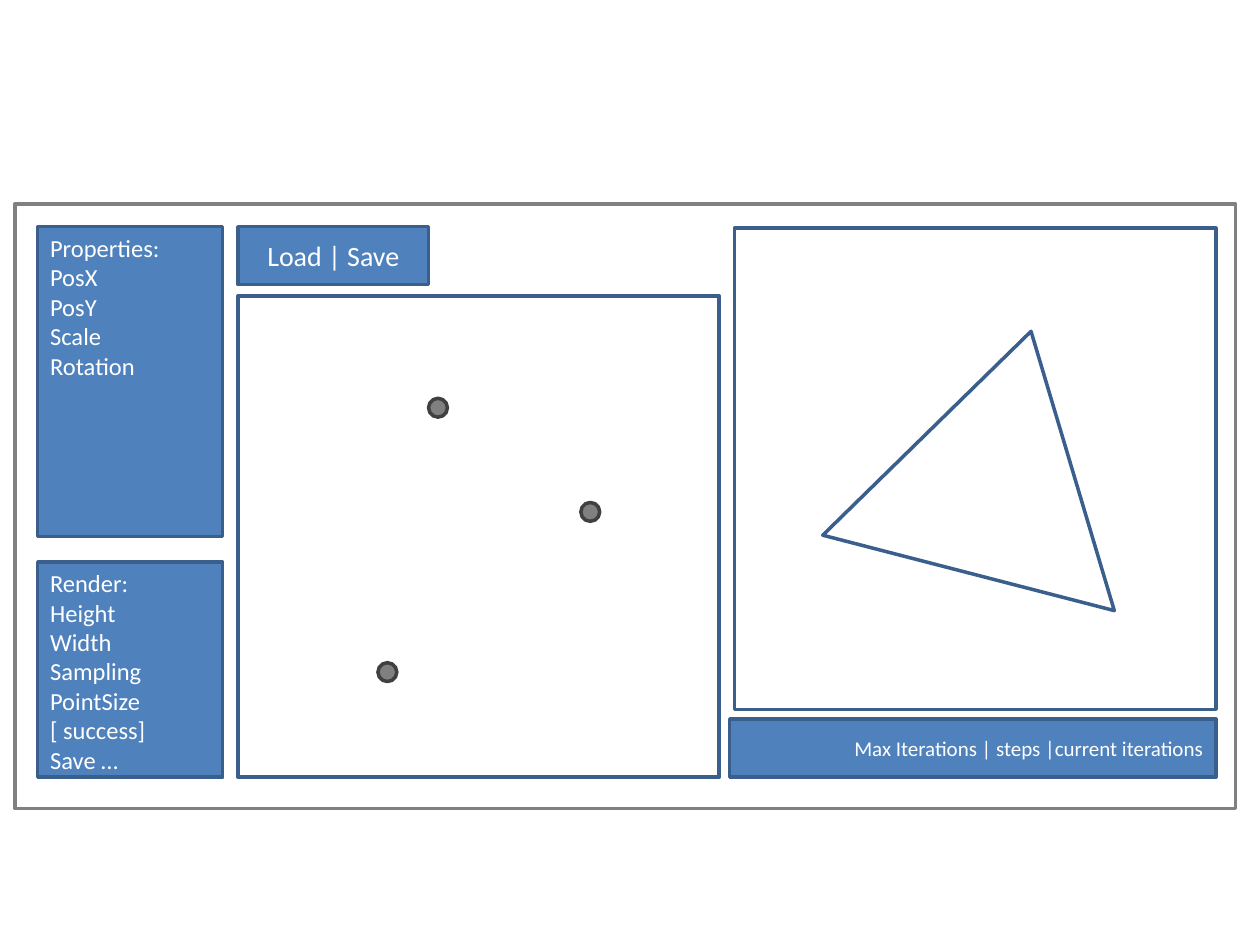
import pptx
import pptx.util
import pptx.dml.color
import pptx.enum.shapes
import pptx.enum.text

Cm = pptx.util.Cm
Kind = pptx.enum.shapes.MSO_SHAPE
Align = pptx.enum.text.PP_ALIGN
Anchor = pptx.enum.text.MSO_ANCHOR

COLORS = {
    "panel": "4F81BD",
    "outline": "3A5F8C",
    "gray": "808080",
    "dark": "404040",
    "text": "FFFFFF",
}


def rgb(name):
    return pptx.dml.color.RGBColor.from_string(COLORS[name])


def draw(shapes, kind, left, top, width, height, fill=None, line="outline"):
    shape = shapes.add_shape(kind, Cm(left), Cm(top), Cm(width), Cm(height))
    shape.shadow.inherit = False
    if fill:
        shape.fill.solid()
        shape.fill.fore_color.rgb = rgb(fill)
    else:
        shape.fill.background()
    shape.line.color.rgb = rgb(line)
    shape.line.width = pptx.util.Pt(2)
    return shape


presentation = pptx.Presentation()
presentation.slide_width = Cm(25.4)
presentation.slide_height = Cm(19.05)
slide = presentation.slides.add_slide(presentation.slide_layouts[6])
window = slide.shapes.add_group_shape().shapes

side_left, side_width = 0.76, 3.73
editor_left, window_top = 4.8, 4.57
canvas_size, bar_height = 9.7, 1.17
dot_size = 0.38

draw(window, Kind.RECTANGLE, 14.81, 4.6, canvas_size, canvas_size)
triangle = draw(window, Kind.ISOSCELES_TRIANGLE, 17.12, 6.6, 6.07, 5.03)
triangle.rotation = 14.5

draw(window, Kind.RECTANGLE, editor_left, 5.97, canvas_size, canvas_size)
for left, top in [(8.64, 8.03), (11.71, 10.13), (7.62, 13.36)]:
    draw(window, Kind.OVAL, left, top, dot_size, dot_size, "gray", "dark")

properties = "Properties:\nPosX\nPosY\nScale\nRotation"
render = "Render:\nHeight\nWidth\nSampling\nPointSize\n[ success]\nSave …"
iterations = "Max Iterations | steps |current iterations"
panels = [
    (side_left, window_top, side_width, 6.25, properties, 14, Align.LEFT, Anchor.TOP),
    (editor_left, window_top, 3.84, bar_height, "Load | Save", 16, Align.CENTER, Anchor.MIDDLE),
    (14.71, 14.5, 9.8, bar_height, iterations, 12, Align.RIGHT, Anchor.MIDDLE),
    (side_left, 11.33, side_width, 4.34, render, 14, Align.LEFT, Anchor.TOP),
]
for left, top, width, height, text, size, alignment, anchor in panels:
    panel = draw(window, Kind.RECTANGLE, left, top, width, height, "panel")
    panel.text_frame.text = text
    panel.text_frame.word_wrap = True
    panel.text_frame.vertical_anchor = anchor
    for paragraph in panel.text_frame.paragraphs:
        paragraph.alignment = alignment
        for run in paragraph.runs:
            run.font.name = "Calibri"
            run.font.size = pptx.util.Pt(size)
            run.font.color.rgb = rgb("text")

draw(slide.shapes, Kind.RECTANGLE, 0.3, 4.11, 24.61, 12.19, line="gray")

presentation.save("out.pptx")
